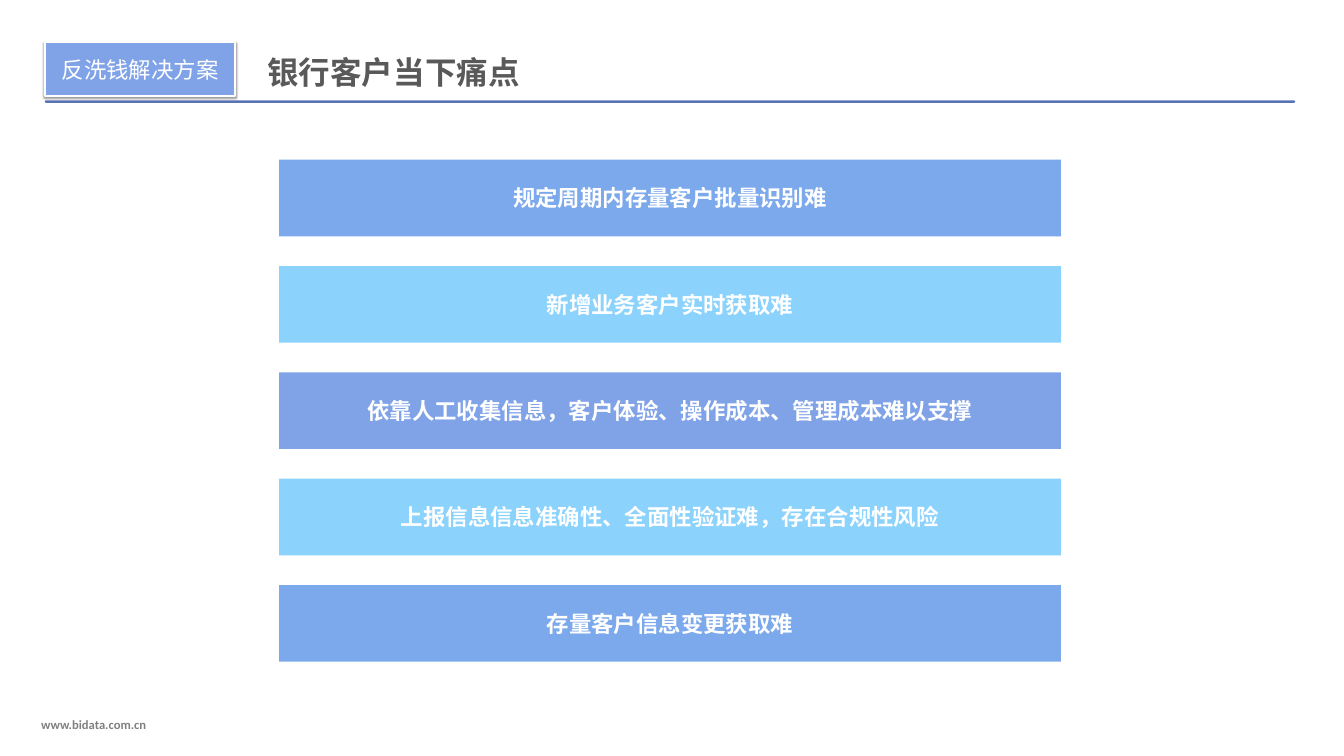
from typing import NamedTuple

from lxml.etree import SubElement
from pptx import Presentation
from pptx.dml.color import RGBColor
from pptx.enum.shapes import MSO_SHAPE
from pptx.enum.text import MSO_ANCHOR, MSO_AUTO_SIZE, PP_ALIGN
from pptx.oxml.ns import qn
from pptx.shapes.autoshape import Shape
from pptx.util import Pt

COLOURS = {
    "white": "FFFFFF",
    "rule": "5873B3",
    "periwinkle": "80A3E8",
    "blue": "7CA9EC",
    "sky": "8BD2FD",
    "title": "595959",
    "footer": "808080",
    "shadow": "000000",
}
CJK_FONT = "Noto Sans CJK SC"
BAR_LEFT, BAR_TOP, BAR_WIDTH, BAR_HEIGHT = 398.9, 228.2, 1116.7, 109.4
BAR_PITCH = 151.9


class Box(NamedTuple):
    left: float
    top: float
    width: float
    height: float

    def in_points(self) -> list[Pt]:
        return [Pt(length) for length in self]


class PainPoint(NamedTuple):
    wording: str
    colour: str


PAIN_POINTS = [
    PainPoint("规定周期内存量客户批量识别难", "blue"),
    PainPoint("新增业务客户实时获取难", "sky"),
    PainPoint("依靠人工收集信息，客户体验、操作成本、管理成本难以支撑", "periwinkle"),
    PainPoint("上报信息信息准确性、全面性验证难，存在合规性风险", "sky"),
    PainPoint("存量客户信息变更获取难", "blue"),
]


def rgb(colour: str) -> RGBColor:
    return RGBColor.from_string(COLOURS[colour])


def write(shape: Shape, wording: str, *, size: float, colour: str = "white",
          bold: bool = False, font: str = CJK_FONT,
          align: PP_ALIGN = PP_ALIGN.CENTER,
          anchor: MSO_ANCHOR = MSO_ANCHOR.MIDDLE, wrap: bool = True,
          insets: tuple[float, float] = (7.2, 3.6)) -> None:
    frame = shape.text_frame
    frame.word_wrap = wrap
    frame.vertical_anchor = anchor
    frame.margin_left = frame.margin_right = Pt(insets[0])
    frame.margin_top = frame.margin_bottom = Pt(insets[1])
    paragraph = frame.paragraphs[0]
    paragraph.alignment = align
    run = paragraph.add_run()
    run.text = wording
    run.font.size = Pt(size)
    run.font.bold = bold
    run.font.color.rgb = rgb(colour)
    run.font.name = font
    SubElement(run.font._element, qn("a:ea"), typeface=font)


def add_block(shapes, box: Box, colour: str,
              kind: MSO_SHAPE = MSO_SHAPE.RECTANGLE) -> Shape:
    block = shapes.add_shape(kind, *box.in_points())
    block.shadow.inherit = False
    block.fill.solid()
    block.fill.fore_color.rgb = rgb(colour)
    block.line.fill.background()
    return block


def add_shadow(shape: Shape) -> None:
    effects = shape._element.spPr.find(qn("a:effectLst"))
    shadow = SubElement(effects, qn("a:outerShdw"), blurRad=str(Pt(3.1)),
                        dist=str(Pt(1.6)), dir="5400000", rotWithShape="0")
    tint = SubElement(shadow, qn("a:srgbClr"), val=COLOURS["shadow"])
    SubElement(tint, qn("a:alpha"), val="38000")


def add_header(shapes) -> None:
    rule = add_block(shapes, Box(64.1, 143.3, 1786.3, 3.6), "rule",
                     MSO_SHAPE.ROUNDED_RECTANGLE)
    rule.adjustments[0] = 0.5

    topic = add_block(shapes, Box(64.1, 60.5, 272.2, 77), "periwinkle")
    topic.line.color.rgb = rgb("white")
    topic.line.width = Pt(3)
    add_shadow(topic)
    write(topic, "反洗钱解决方案", size=32, insets=(19.4, 9.4))

    title = shapes.add_textbox(*Box(375.1, 65.5, 1638.7, 75.6).in_points())
    write(title, "银行客户当下痛点", size=45, colour="title", bold=True,
          align=PP_ALIGN.LEFT)


def add_pain_points(shapes) -> None:
    bars = shapes.add_group_shape()
    for index, pain_point in enumerate(PAIN_POINTS):
        box = Box(BAR_LEFT, BAR_TOP + index * BAR_PITCH, BAR_WIDTH, BAR_HEIGHT)
        bar = add_block(bars.shapes, box, pain_point.colour)
        write(bar, pain_point.wording, size=32, bold=True)


def add_footer(shapes) -> None:
    website = shapes.add_textbox(*Box(51.8, 1021, 165.6, 28.8).in_points())
    write(website, "www.bidata.com.cn", size=18, colour="footer", bold=True,
          font="Calibri", align=PP_ALIGN.LEFT, anchor=MSO_ANCHOR.TOP,
          wrap=False)
    website.text_frame.auto_size = MSO_AUTO_SIZE.SHAPE_TO_FIT_TEXT


def main() -> None:
    presentation = Presentation()
    presentation.slide_width = Pt(1920.24)
    presentation.slide_height = Pt(1080)
    slide = presentation.slides.add_slide(presentation.slide_layouts[6])
    add_header(slide.shapes)
    add_pain_points(slide.shapes)
    add_footer(slide.shapes)
    presentation.save("out.pptx")


if __name__ == "__main__":
    main()
